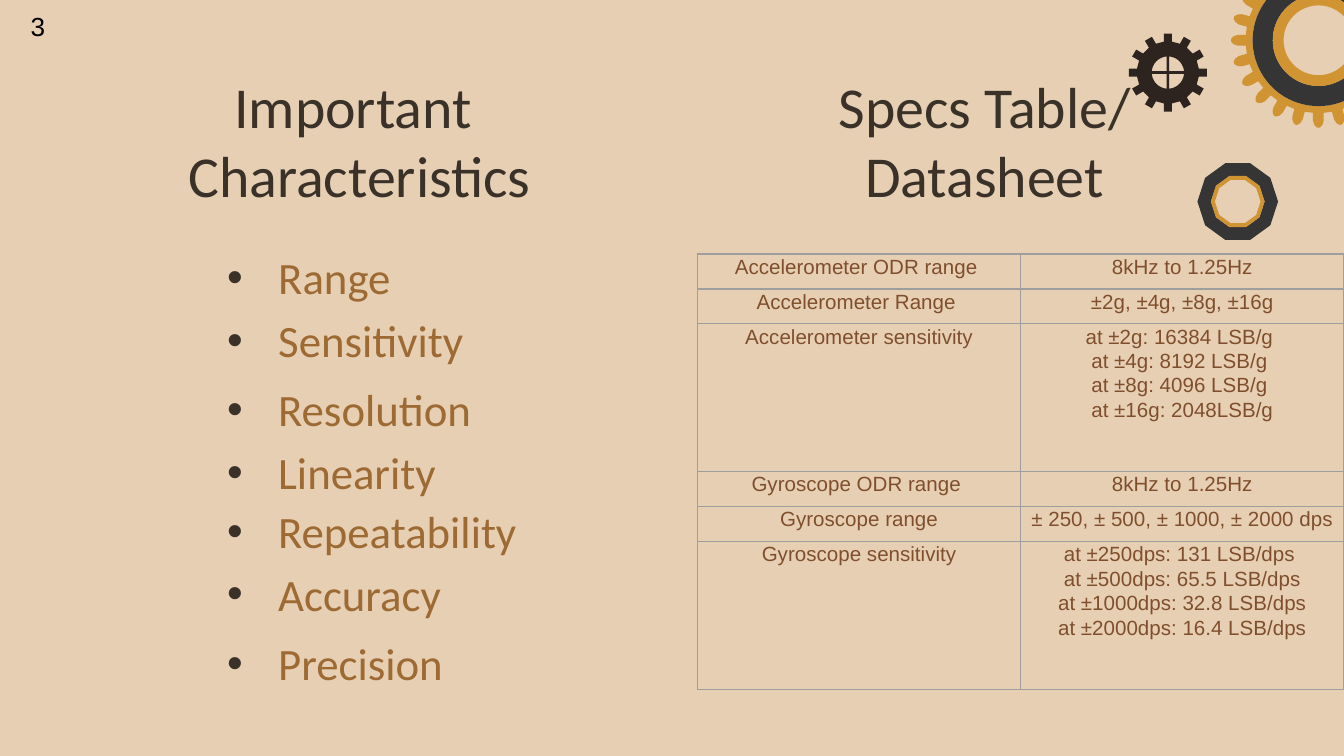
from dataclasses import dataclass
from math import asin, cos, pi, radians, sin

from lxml import etree
from pptx import Presentation
from pptx.dml.color import RGBColor
from pptx.enum.shapes import MSO_SHAPE
from pptx.enum.text import MSO_ANCHOR, MSO_AUTO_SIZE, PP_ALIGN
from pptx.oxml.ns import qn
from pptx.util import Inches, Pt

CENTER, LEFT = PP_ALIGN.CENTER, PP_ALIGN.LEFT
MIDDLE, TOP = MSO_ANCHOR.MIDDLE, MSO_ANCHOR.TOP
NO_AUTOFIT = MSO_AUTO_SIZE.NONE
DONUT = MSO_SHAPE.DONUT


@dataclass(frozen=True)
class Theme:
    background: str = "E7CFB4"
    heading: str = "3A3228"
    item: str = "9C6A32"
    cell: str = "7F4F2D"
    border: str = "9E9E9E"
    number: str = "000000"
    dark_gear: str = "2E241F"
    steel: str = "353535"
    gold: str = "D09433"
    font: str = "Calibri"
    plain_font: str = "Arial"
    heading_size: float = 31
    item_size: float = 24
    cell_size: float = 11
    number_size: float = 14


THEME = Theme()

# Each item with the space before it in points
CHARACTERISTICS = [
    ("Range", 0), ("Sensitivity", 5), ("Resolution", 8), ("Linearity", 5),
    ("Repeatability", 3), ("Accuracy", 4.5), ("Precision", 8.5),
]
SPECS = [
    ("Accelerometer ODR range ", ["8kHz to 1.25Hz"]),
    ("Accelerometer Range ", ["±2g, ±4g, ±8g, ±16g"]),
    ("Accelerometer sensitivity", ["at ±2g: 16384 LSB/g ", "at ±4g: 8192 LSB/g ",
                                   "at ±8g: 4096 LSB/g ", "at ±16g: 2048LSB/g"]),
    ("Gyroscope ODR range ", ["8kHz to 1.25Hz"]),
    ("Gyroscope range", ["± 250, ± 500, ± 1000, ± 2000 dps"]),
    ("Gyroscope sensitivity", ["at ±250dps: 131 LSB/dps ", "at ±500dps: 65.5 LSB/dps",
                               "at ±1000dps: 32.8 LSB/dps", "at ±2000dps: 16.4 LSB/dps"]),
]


def rgb(color):
    return RGBColor.from_string(color)


def place(sp, left, top, width, height):
    sp.left, sp.top = Inches(left), Inches(top)
    sp.width, sp.height = Inches(width), Inches(height)


def frame(sp, anchor):
    tf = sp.text_frame
    tf.word_wrap = True
    tf.auto_size = NO_AUTOFIT
    tf.vertical_anchor = anchor
    tf.margin_left = tf.margin_right = Inches(0.1)
    tf.margin_top = tf.margin_bottom = Inches(0.1)
    return tf


def add_run(p, text, size, color, font=THEME.font):
    r = p.add_run()
    r.text = text
    r.font.size, r.font.name = Pt(size), font
    r.font.color.rgb = rgb(color)


def next_paragraph(tf, index):
    return tf.paragraphs[0] if index == 0 else tf.add_paragraph()


def add_heading(sp, left, paragraphs):
    """Write centred paragraphs, each a list of lines, into a heading box."""
    place(sp, left, 0.73, 5.35, 0.62)
    tf = frame(sp, MIDDLE)
    for i, lines in enumerate(paragraphs):
        p = next_paragraph(tf, i)
        p.alignment = CENTER
        for j, line in enumerate(lines):
            if j:
                p.add_line_break()
            add_run(p, line, THEME.heading_size, THEME.heading)


def add_bullet(p, indent, color):
    pPr = p._p.get_or_add_pPr()
    pPr.set("marL", str(Inches(indent)))
    pPr.set("indent", str(-Inches(indent)))
    clr = etree.SubElement(pPr, qn("a:buClr"))
    etree.SubElement(clr, qn("a:srgbClr"), val=color)
    etree.SubElement(pPr, qn("a:buFont"), typeface=THEME.plain_font)
    etree.SubElement(pPr, qn("a:buChar"), char="•")


def add_list(sp, items):
    place(sp, 1.59, 1.76, 2.86, 3.48)
    tf = frame(sp, TOP)
    for i, (text, gap) in enumerate(items):
        p = next_paragraph(tf, i)
        add_bullet(p, 0.38, THEME.heading)
        p.alignment = LEFT
        p.space_before = Pt(gap)
        add_run(p, text, THEME.item_size, THEME.item)


def set_borders(cell):
    tcPr = cell._tc.get_or_add_tcPr()
    for i, side in enumerate(("lnL", "lnR", "lnT", "lnB")):
        ln = etree.Element(qn(f"a:{side}"), w=str(Pt(0.75)))
        fill = etree.SubElement(ln, qn("a:solidFill"))
        etree.SubElement(fill, qn("a:srgbClr"), val=THEME.border)
        tcPr.insert(i, ln)


def fill_cell(cell, lines):
    cell.fill.background()
    set_borders(cell)
    cell.margin_left = cell.margin_right = Inches(0.07)
    cell.margin_top = cell.margin_bottom = 0
    for i, line in enumerate(lines):
        p = next_paragraph(cell.text_frame, i)
        p.alignment = CENTER
        p.line_spacing = 1.07
        add_run(p, line, THEME.cell_size, THEME.cell, THEME.plain_font)


def add_specs_table(s, specs):
    shape = s.shapes.add_table(len(specs), 2, Inches(5.19), Inches(1.89),
                               Inches(4.81), Inches(3.24))
    table = shape.table
    table.first_row = table.horz_banding = False
    for row, (name, values) in zip(table.rows, specs):
        row.height = Inches(1.1 if len(values) > 1 else 0.26)
        fill_cell(row.cells[0], [name])
        fill_cell(row.cells[1], values)


def paint(sp, color):
    sp.shadow.inherit = False
    sp.fill.solid()
    sp.fill.fore_color.rgb = rgb(color)
    sp.line.fill.background()


def add_outline(s, center, contours, color):
    """Draw contours given in inches around center; inner ones cut holes."""
    builder = None
    for contour in contours:
        points = [(Inches(center[0] + x), Inches(center[1] + y)) for x, y in contour]
        if builder is None:
            builder = s.shapes.build_freeform(*points[0])
        else:
            builder.move_to(*points[0])
        builder.add_line_segments(points[1:], close=True)
    paint(builder.convert_to_shape(), color)


def polygon(radius, sides):
    angles = [2 * pi * i / sides for i in range(sides)]
    return [(radius * cos(a), radius * sin(a)) for a in angles]


def toothed_rim(teeth, profile):
    """Repeat one tooth, given as (distance out, offset sideways), round a rim."""
    angles = [2 * pi * i / teeth for i in range(teeth)]
    return [(d * cos(a) - o * sin(a), d * sin(a) + o * cos(a))
            for a in angles for d, o in profile]


def quarter_hole(radius, bar, quarter):
    """One quarter of a round hole, kept off the axes by half a bar."""
    start = asin(bar / radius)
    sweep = pi / 2 - 2 * start
    arc = [start + sweep * i / 12 for i in range(13)]
    points = [(bar, bar)] + [(radius * cos(a), radius * sin(a)) for a in arc]
    turn = radians(90 * quarter)
    return [(x * cos(turn) - y * sin(turn), x * sin(turn) + y * cos(turn))
            for x, y in points]


def add_ring(s, center, outer, inner, color):
    sp = s.shapes.add_shape(DONUT, Inches(center[0] - outer), Inches(center[1] - outer),
                            Inches(2 * outer), Inches(2 * outer))
    sp.adjustments[0] = (outer - inner) / (2 * outer)
    paint(sp, color)


def add_gears(s):
    square_tooth = [(0.23, -0.03), (0.29, -0.03), (0.29, 0.03), (0.23, 0.03)]
    holes = [quarter_hole(0.12, 0.01, q) for q in range(4)]
    add_outline(s, (8.69, 0.54), [toothed_rim(12, square_tooth)] + holes, THEME.dark_gear)

    big = (9.81, 0.3)
    half_tooth = [(0.54, -0.04), (0.6, -0.04), (0.63, -0.03), (0.65, -0.01)]
    round_tooth = half_tooth + [(d, -o) for d, o in reversed(half_tooth)]
    add_outline(s, big, [toothed_rim(24, round_tooth), polygon(0.49, 72)], THEME.gold)
    add_ring(s, big, 0.49, 0.34, THEME.steel)
    add_ring(s, big, 0.34, 0.26, THEME.gold)

    for outer, inner, color in ((0.3, 0.2, THEME.steel), (0.2, 0.17, THEME.gold)):
        add_outline(s, (9.21, 1.5), [polygon(outer, 10), polygon(inner, 10)], color)


def add_slide_number(s, number):
    sp = s.shapes.add_textbox(Inches(0.13), Inches(0.03), Inches(0.31), Inches(0.34))
    add_run(sp.text_frame.paragraphs[0], number, THEME.number_size, THEME.number,
            THEME.plain_font)


def main():
    prs = Presentation()
    prs.slide_width, prs.slide_height = Inches(10), Inches(10 * 9 / 16)
    s = prs.slides.add_slide(prs.slide_layouts[1])
    s.background.fill.solid()
    s.background.fill.fore_color.rgb = rgb(THEME.background)

    add_gears(s)
    add_heading(s.shapes.title, 0, [["Important ", "Characteristics"]])
    add_list(s.placeholders[1], CHARACTERISTICS)
    add_heading(s.shapes.add_textbox(0, 0, 0, 0), 4.65, [["Specs Table/"], ["Datasheet"]])
    add_specs_table(s, SPECS)
    add_slide_number(s, "3")
    prs.save("out.pptx")


if __name__ == "__main__":
    main()
